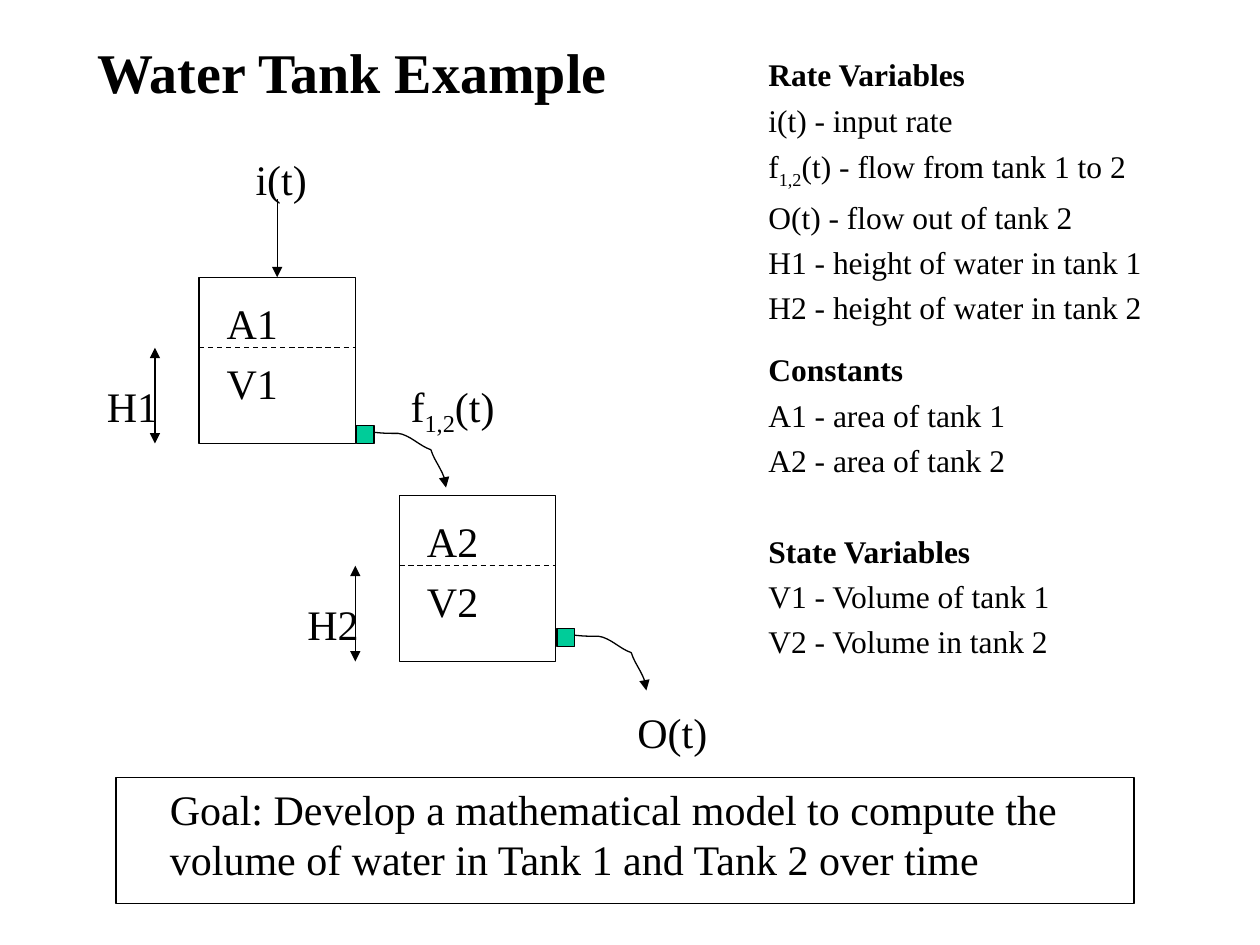
from pptx import Presentation
from pptx.dml.color import RGBColor
from pptx.enum.dml import MSO_LINE
from pptx.enum.shapes import MSO_CONNECTOR, MSO_SHAPE
from pptx.enum.text import MSO_ANCHOR, MSO_AUTO_SIZE, PP_ALIGN
from pptx.oxml.ns import qn
from pptx.util import Inches, Pt
from lxml import etree

RECT = MSO_SHAPE.RECTANGLE
STRAIGHT = MSO_CONNECTOR.STRAIGHT
DASH = MSO_LINE.DASH
LEFT, TOP = PP_ALIGN.LEFT, MSO_ANCHOR.TOP
GROW = MSO_AUTO_SIZE.SHAPE_TO_FIT_TEXT

FONT = "Times New Roman"
COLORS = {"ink": "000000", "valve": "00CC99"}
TANK_W, TANK_H = 1.24, 1.32
VALVE = 0.14

# Outflow as Bezier segments, measured from the valve's corner
FLOW_START = (0.13, 0.05)
FLOW_CURVES = [
    ((0.20, 0.06), (0.26, 0.06), (0.33, 0.06)),
    ((0.42, 0.07), (0.50, 0.16), (0.59, 0.19)),
    ((0.62, 0.29), (0.71, 0.38), (0.71, 0.49)),
]

RATES = ["Rate Variables", "i(t) - input rate", "f_1,2_(t) - flow from tank 1 to 2",
         "O(t) - flow out of tank 2", "H1 - height of water in tank 1",
         "H2 - height of water in tank 2"]
CONSTANTS = ["Constants", "A1 - area of tank 1", "A2 - area of tank 2"]
STATES = ["State Variables", "V1 - Volume of tank 1", "V2 - Volume in tank 2"]
HEADINGS = (RATES[0], CONSTANTS[0], STATES[0])
GOAL = ("Goal: Develop a mathematical model to compute the "
        "volume of water in Tank 1 and Tank 2 over time")


def rgb(name):
    return RGBColor.from_string(COLORS[name])


def write(p, text, size=24, bold=False):
    """Fill a paragraph; parts between underscores are subscripts."""
    p.alignment = LEFT
    for i, part in enumerate(text.split("_")):
        r = p.add_run()
        r.text = part
        r.font.name, r.font.size, r.font.bold = FONT, Pt(size), bold
        r.font.color.rgb = rgb("ink")
        if i % 2:
            r._r.get_or_add_rPr().set("baseline", "-25000")


def add_text(s, lines, x, y, w, h=0.5, wrap=False, spacing=None, gap_before=None, **fmt):
    tf = s.shapes.add_textbox(Inches(x), Inches(y), Inches(w), Inches(h)).text_frame
    tf.word_wrap, tf.auto_size = wrap, GROW
    for i, line in enumerate(lines):
        p = tf.add_paragraph() if i else tf.paragraphs[0]
        p.line_spacing = spacing
        if line == gap_before:
            p.space_before = Pt(26)
        write(p, line, bold=line in HEADINGS, **fmt)


def style_line(shape, dash=None, head=False, tail=False):
    shape.line.color.rgb = rgb("ink")
    shape.line.width = Pt(0.75)
    if dash:
        shape.line.dash_style = dash
    ln = shape._element.spPr.find(qn("a:ln"))
    for tag, wanted in (("a:headEnd", head), ("a:tailEnd", tail)):
        if wanted:
            etree.SubElement(ln, qn(tag)).set("type", "triangle")


def add_rect(s, x, y, w, h, fill=None):
    sp = s.shapes.add_shape(RECT, Inches(x), Inches(y), Inches(w), Inches(h))
    sp.shadow.inherit = False
    if fill:
        sp.fill.solid()
        sp.fill.fore_color.rgb = rgb(fill)
    else:
        sp.fill.background()
    style_line(sp)
    return sp


def add_line(s, x1, y1, x2, y2, **ends):
    c = s.shapes.add_connector(STRAIGHT, Inches(x1), Inches(y1), Inches(x2), Inches(y2))
    style_line(c, **ends)
    etree.SubElement(c._element.spPr, qn("a:effectLst"))
    return c


def bezier(a, b, c, d, t):
    u = 1 - t
    return tuple(u**3 * i + 3 * u * u * t * j + 3 * u * t * t * k + t**3 * m
                 for i, j, k, m in zip(a, b, c, d))


def add_outflow(s, x, y, steps=8):
    points = [FLOW_START]
    for curve in FLOW_CURVES:
        start = points[-1]
        points += [bezier(start, *curve, n / steps) for n in range(1, steps + 1)]
    emu = [(Inches(x + dx), Inches(y + dy)) for dx, dy in points]
    fb = s.shapes.build_freeform(*emu[0])
    fb.add_line_segments(emu[1:], close=False)
    sp = fb.convert_to_shape()
    sp.shadow.inherit = False
    sp.fill.background()
    style_line(sp, tail=True)


def add_tank(s, number, x, y, valve_drop):
    tank = add_rect(s, x, y, TANK_W, TANK_H)
    level = y + 0.56
    for letter, dx, dy in (("A", 0.12, 0.11), ("V", 0.12, 0.59), ("H", -0.83, 0.77)):
        add_text(s, [f"{letter}{number}"], x + dx, y + dy, 0.62)
    add_line(s, x, level, x + TANK_W, level, dash=DASH)
    add_line(s, x - 0.35, level, x - 0.35, y + TANK_H, head=True, tail=True)
    valve_x, valve_y = x + TANK_W + 0.01, y + valve_drop
    add_outflow(s, valve_x, valve_y)
    add_rect(s, valve_x, valve_y, VALVE, VALVE, fill="valve")
    return tank


def add_title(s, text):
    sp = s.shapes.title
    sp.left, sp.top, sp.width, sp.height = Inches(0.67), Inches(0.25), Inches(4.33), Inches(0.64)
    tf = sp.text_frame
    tf.word_wrap, tf.auto_size, tf.vertical_anchor = False, GROW, TOP
    write(tf.paragraphs[0], text, size=32, bold=True)


def main():
    prs = Presentation()
    prs.slide_width, prs.slide_height = Inches(10), Inches(7.5)
    s = prs.slides.add_slide(prs.slide_layouts[5])
    add_title(s, "Water Tank Example")

    # Tanks and flows
    tank = add_tank(s, 1, 1.58, 2.2, valve_drop=1.18)
    add_tank(s, 2, 3.17, 3.93, valve_drop=1.06)
    inflow = add_line(s, 2.2, 1.58, 2.2, 2.2, tail=True)
    inflow.end_connect(tank, 0)
    add_text(s, ["i(t)"], 1.93, 1.17, 0.63)
    add_text(s, ["f_1,2_(t)"], 3.16, 2.97, 1.01, 0.56, wrap=True)
    add_text(s, ["O(t)"], 4.96, 5.56, 0.78)

    # Variable lists
    add_text(s, RATES, 6, 0.33, 3.2, 2.31, size=18, spacing=1.2)
    add_text(s, CONSTANTS + STATES, 6, 2.67, 2.47, 2.62, size=18, spacing=1.2,
             gap_before=STATES[0])

    # Goal
    add_text(s, [GOAL], 1.25, 6.17, 7.77, 0.9, wrap=True)
    add_rect(s, 0.92, 6.17, 8.08, 1)

    prs.save("out.pptx")


if __name__ == "__main__":
    main()
